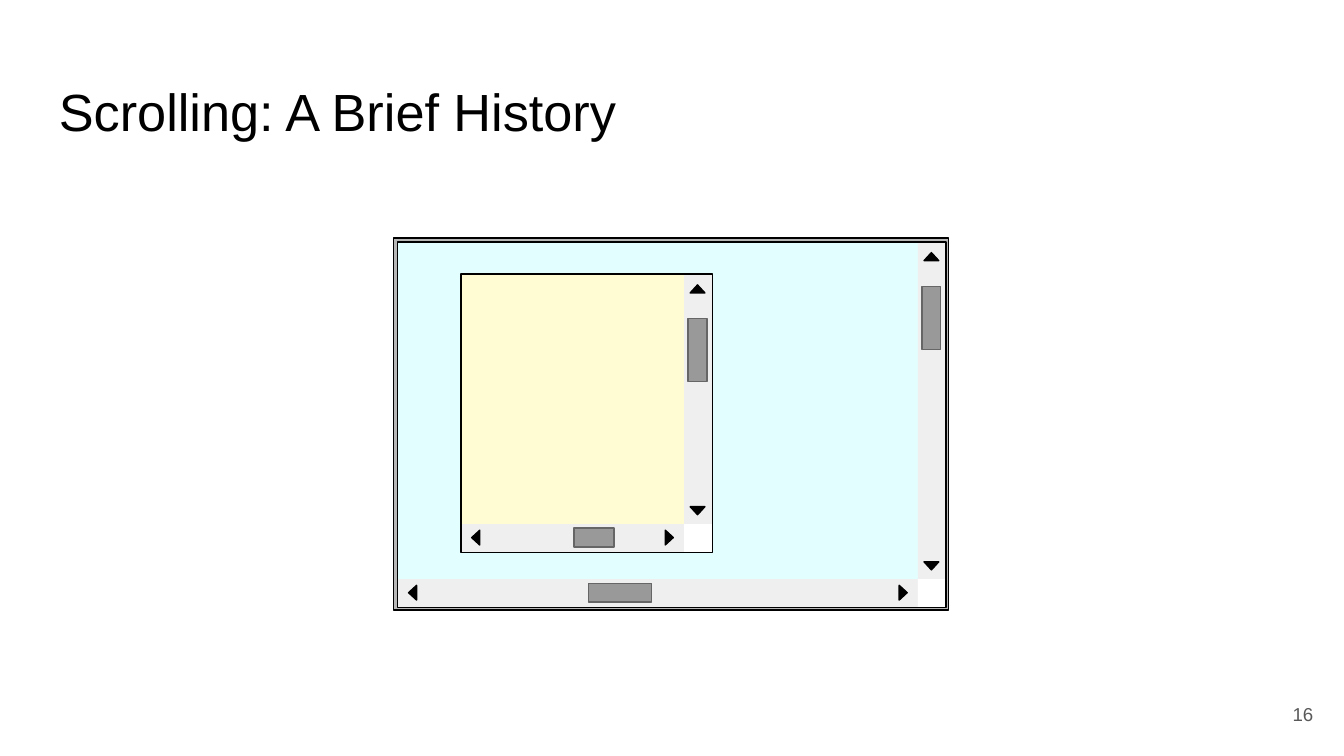
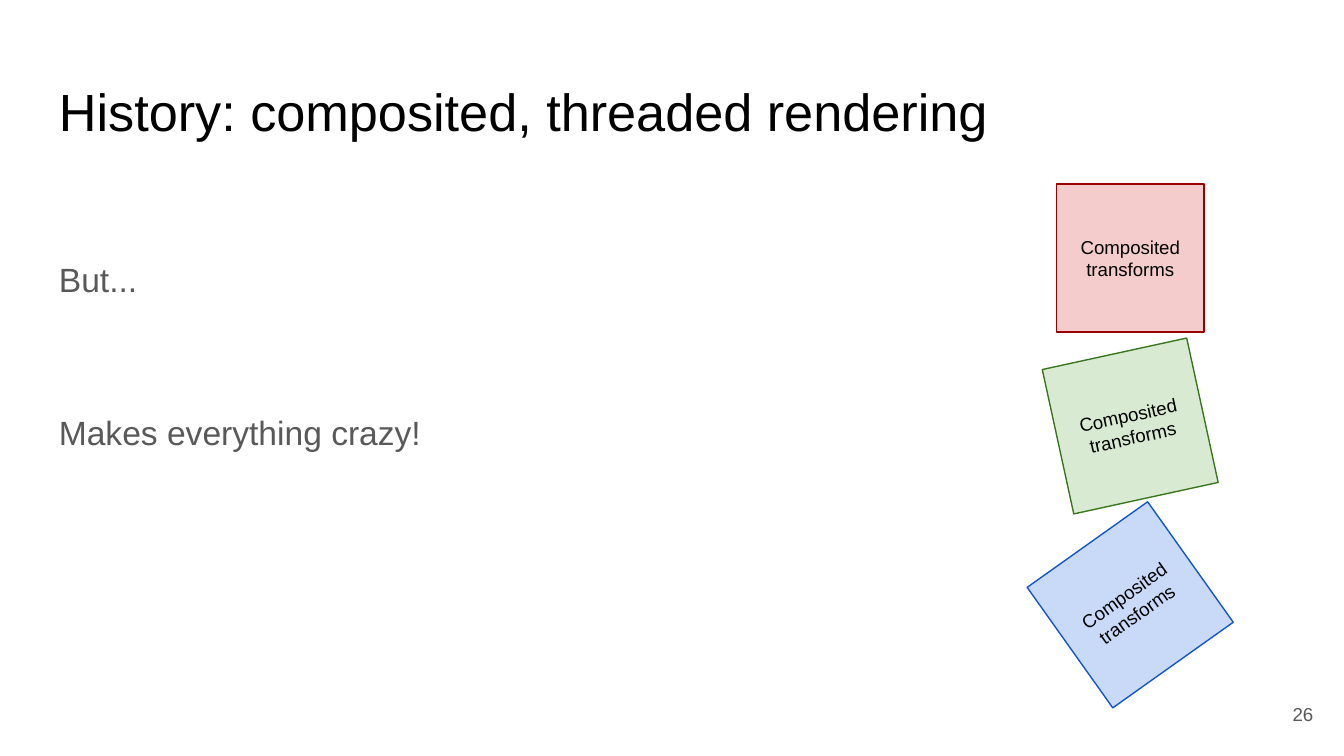
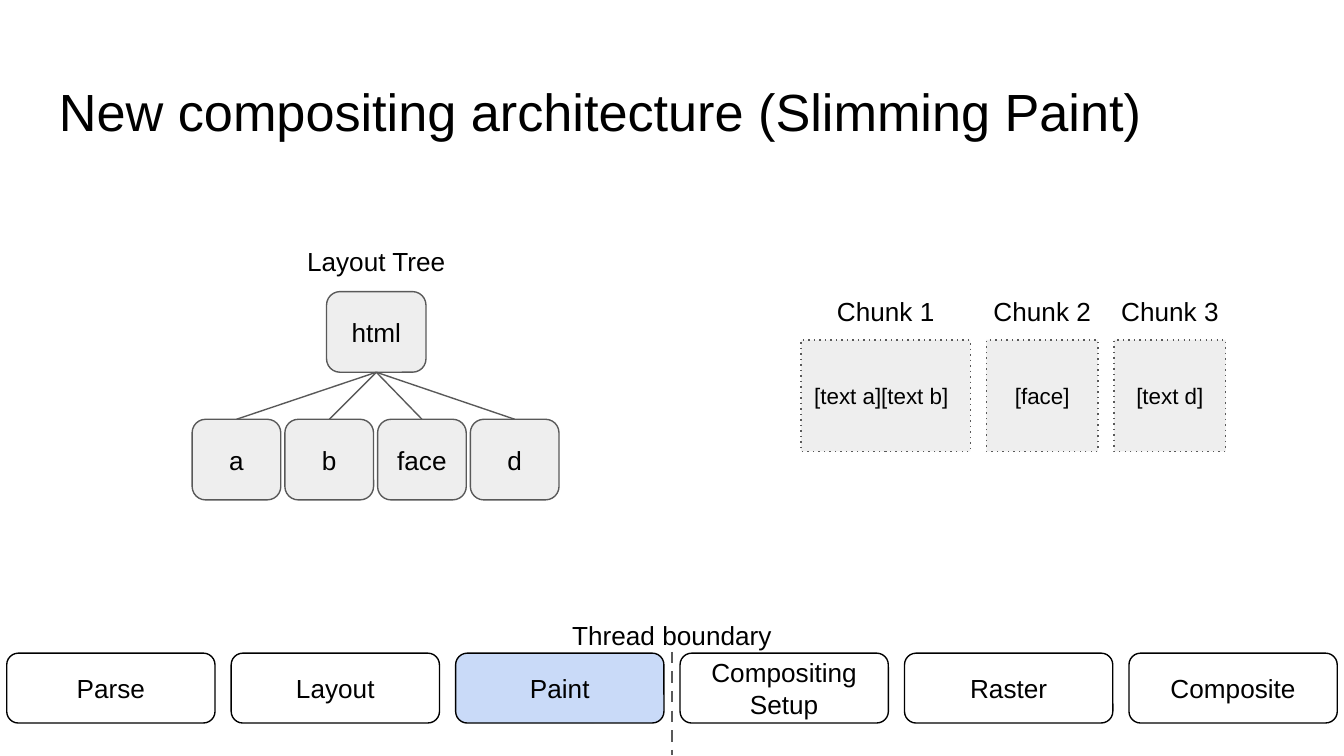
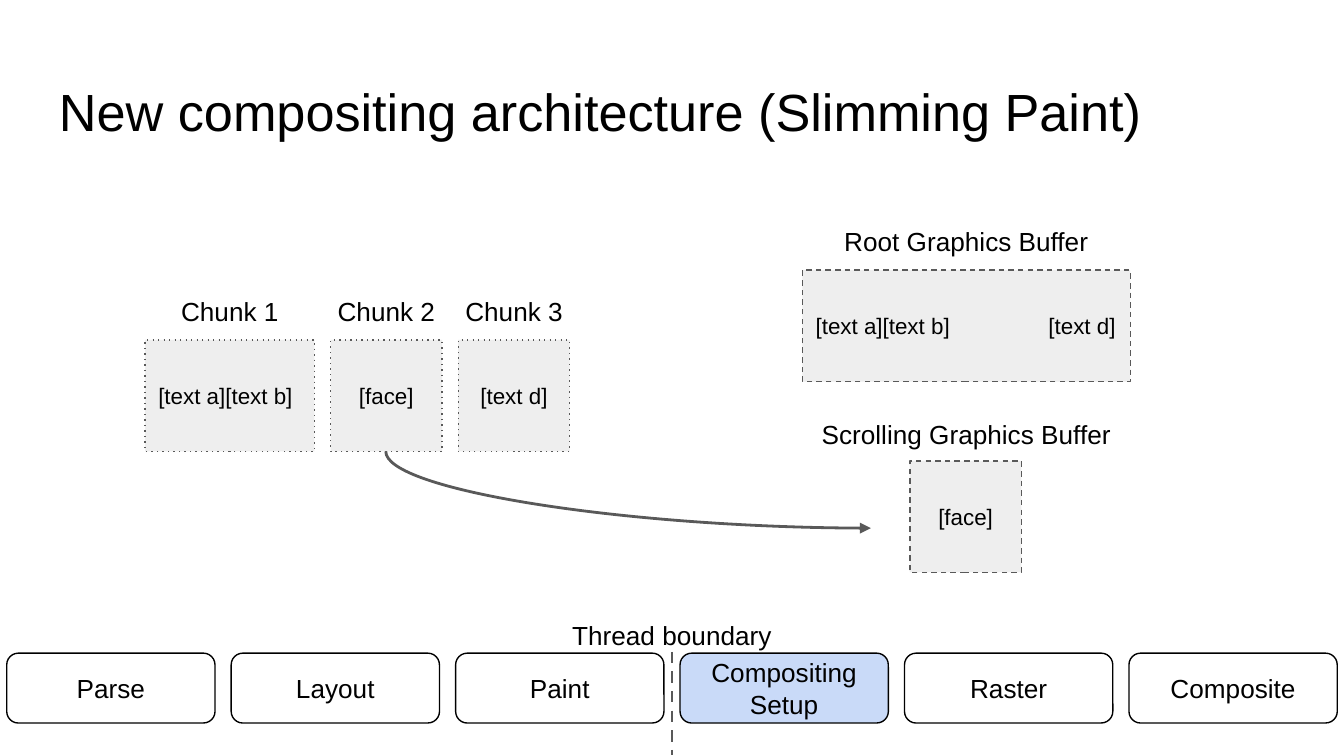
from dataclasses import dataclass

from lxml.etree import SubElement
from pptx import Presentation
from pptx.dml.color import RGBColor
from pptx.enum.dml import MSO_LINE
from pptx.enum.shapes import MSO_CONNECTOR, MSO_SHAPE
from pptx.enum.text import MSO_ANCHOR, PP_ALIGN
from pptx.oxml.ns import qn
from pptx.util import Inches, Pt


@dataclass(frozen=True)
class Theme:
    font: str = "Arial"
    black: str = "000000"
    white: str = "FFFFFF"
    gray: str = "595959"
    panel: str = "EEEEEE"
    highlight: str = "C9DAF8"
    window: str = "B7B7B7"
    page: str = "E3FEFF"
    scroller: str = "FFFCD3"
    track: str = "EFEFEF"
    thumb: str = "999999"
    thumb_edge: str = "666666"
    title_size: float = 28
    body_size: float = 18
    label_size: float = 14
    chunk_size: float = 12
    small_size: float = 10
    thin: float = 0.75
    thick: float = 1.5


THEME = Theme()
BOTTOM, TOP = 2, 0
STAGES = ["Parse", "Layout", "Paint", "Compositing\nSetup", "Raster", "Composite"]


def write_text(shape, text, size=THEME.label_size, color=THEME.black, align=PP_ALIGN.CENTER,
               anchor=MSO_ANCHOR.MIDDLE, line_spacing=None, gap=None):
    """Fill a shape with one paragraph for each line of text."""
    frame = shape.text_frame
    frame.word_wrap = True
    frame.vertical_anchor = anchor
    frame.margin_left = frame.margin_right = Inches(0.1)
    frame.margin_top = frame.margin_bottom = Inches(0.1)
    for index, line in enumerate(text.split("\n")):
        paragraph = frame.add_paragraph() if index else frame.paragraphs[0]
        paragraph.alignment = align
        if line_spacing:
            paragraph.line_spacing = line_spacing
        if gap and index:
            paragraph.space_before = Pt(gap)
        run = paragraph.add_run()
        run.text = line
        run.font.name = THEME.font
        run.font.size = Pt(size)
        run.font.color.rgb = RGBColor.from_string(color)


def style_line(line, color, width, dash=None):
    line.color.rgb = RGBColor.from_string(color)
    line.width = Pt(width)
    if dash:
        line.dash_style = MSO_LINE.DASH
        line._get_or_add_ln().find(qn("a:prstDash")).set("val", dash)


class Deck:
    def __init__(self, theme):
        self.theme = theme
        self.presentation = Presentation()
        self.presentation.slide_width = Inches(10)
        self.presentation.slide_height = Inches(10) * 9 // 16
        self.slide = None

    # Basic elements
    def start_slide(self, title, number=None):
        self.slide = self.presentation.slides.add_slide(self.presentation.slide_layouts[6])
        self.text(title, 0.34, 0.49, 9.32, 0.63, size=self.theme.title_size,
                  align=PP_ALIGN.LEFT, anchor=MSO_ANCHOR.TOP)
        if number:
            self.text(number, 9.27, 5.1, 0.6, 0.43, size=self.theme.small_size,
                      color=self.theme.gray, align=PP_ALIGN.RIGHT)

    def text(self, text, left, top, width, height, **text_format):
        box = self.slide.shapes.add_textbox(Inches(left), Inches(top),
                                            Inches(width), Inches(height))
        write_text(box, text, **text_format)

    def shape(self, left, top, width, height, fill=None, edge=None, dash=None,
              kind=MSO_SHAPE.RECTANGLE, rotation=0, text=None, **text_format):
        shape = self.slide.shapes.add_shape(kind, Inches(left), Inches(top),
                                            Inches(width), Inches(height))
        shape.shadow.inherit = False
        shape.rotation = rotation
        if fill:
            shape.fill.solid()
            shape.fill.fore_color.rgb = RGBColor.from_string(fill)
        else:
            shape.fill.background()
        if edge:
            style_line(shape.line, edge, self.theme.thin, dash)
        else:
            shape.line.fill.background()
        if text:
            write_text(shape, text, **text_format)
        return shape

    def connector(self, start, end, width, dash=None, kind=MSO_CONNECTOR.STRAIGHT):
        points = [Inches(value) for value in (*start, *end)]
        connector = self.slide.shapes.add_connector(kind, *points)
        style_line(connector.line, self.theme.gray, width, dash)
        SubElement(connector._element.spPr, qn("a:effectLst"))
        return connector

    def curved_arrow(self, start, end):
        """Leave start downwards and reach end from the left."""
        arrow = self.connector(start, end, self.theme.thick, kind=MSO_CONNECTOR.CURVE)
        across, down = end[0] - start[0], end[1] - start[1]
        arrow.left = Inches((start[0] + end[0] - down) / 2)
        arrow.top = Inches((start[1] + end[1] - across) / 2)
        arrow.width, arrow.height = Inches(down), Inches(across)
        properties = arrow._element.spPr
        transform = properties.find(qn("a:xfrm"))
        transform.set("rot", "16200000")
        transform.set("flipH", "1")
        properties.find(qn("a:prstGeom")).set("prst", "curvedConnector2")
        SubElement(arrow.line._get_or_add_ln(), qn("a:tailEnd"), type="triangle")

    # Scrolling window
    def scroll_arrow(self, center_x, center_y, rotation):
        width, height = 0.11, 0.06
        self.shape(center_x - width / 2, center_y - height / 2, width, height,
                   self.theme.black, self.theme.black,
                   kind=MSO_SHAPE.ISOSCELES_TRIANGLE, rotation=rotation)

    def scroll_pane(self, left, top, width, height, fill, thumb_offset, thumb_length):
        theme, bar, thumb_width = self.theme, 0.21, 0.14
        inner_width, inner_height = width - bar, height - bar
        bar_left, bar_top = left + inner_width, top + inner_height
        middle_x, middle_y = bar_left + 0.1, bar_top + 0.1
        self.shape(left, top, inner_width, inner_height, fill)
        self.shape(bar_left, top, bar, inner_height, theme.track)
        self.shape(left, bar_top, inner_width, bar, theme.track)
        self.shape(bar_left, bar_top, bar, bar, theme.white)
        self.scroll_arrow(middle_x, top + 0.11, 0)
        self.scroll_arrow(middle_x, bar_top - 0.1, 180)
        self.scroll_arrow(left + 0.11, middle_y, 270)
        self.scroll_arrow(bar_left - 0.11, middle_y, 90)
        self.shape(bar_left + 0.03, top + 0.33, thumb_width, 0.47, theme.thumb, theme.thumb_edge)
        self.shape(left + thumb_offset, bar_top + 0.03, thumb_length, thumb_width,
                   theme.thumb, theme.thumb_edge)
        self.shape(left, top, width, height, edge=theme.black)

    # Rendering architecture
    def pipeline(self, active):
        for index, stage in enumerate(STAGES):
            fill = self.theme.highlight if stage == active else self.theme.white
            self.shape(0.05 + 1.67 * index, 4.86, 1.55, 0.52, fill, self.theme.black,
                       kind=MSO_SHAPE.ROUNDED_RECTANGLE, text=stage)
        self.connector((5, 4.85), (5, 5.62), self.theme.thick, "dash")
        self.text("Thread boundary", 3.93, 4.5, 2.14, 0.44, anchor=MSO_ANCHOR.BOTTOM)

    def caption(self, text, center, bottom, width=2.44):
        self.text(text, center - width / 2, bottom - 0.65, width, 0.65,
                  anchor=MSO_ANCHOR.BOTTOM)

    def panel(self, left, top, width, dash, text=None, align=PP_ALIGN.CENTER):
        self.shape(left, top, width, 0.83, self.theme.panel, self.theme.gray, dash,
                   text=text, size=self.theme.chunk_size, align=align)

    def chunks(self, left, top=2.53):
        contents = [("[text a][text b]", 1.26, PP_ALIGN.LEFT),
                    ("[face]", 0.83, PP_ALIGN.CENTER),
                    ("[text d]", 0.83, PP_ALIGN.CENTER)]
        for number, (text, width, align) in enumerate(contents, start=1):
            self.panel(left, top, width, "dot", text, align)
            self.caption(f"Chunk {number}", left + width / 2, top, 1.48)
            left += width + 0.12

    def tree_node(self, text, left, top, width):
        return self.shape(left, top, width, 0.6, self.theme.panel, self.theme.gray,
                          kind=MSO_SHAPE.ROUNDED_RECTANGLE, text=text)

    def layout_tree(self):
        root = self.tree_node("html", 2.43, 2.17, 0.74)
        for index, name in enumerate(["a", "b", "face", "d"]):
            left = 1.43 + 0.69 * index
            child = self.tree_node(name, left, 3.12, 0.66)
            branch = self.connector((2.8, 2.77), (left + 0.33, 3.12), self.theme.thin)
            branch.begin_connect(root, BOTTOM)
            branch.end_connect(child, TOP)
        self.caption("Layout Tree", 2.8, 2.16)


def add_scrolling_slide(deck):
    deck.start_slide("Scrolling: A Brief History", "16")
    deck.shape(2.93, 1.77, 4.13, 2.77, THEME.window, THEME.black)
    deck.scroll_pane(2.96, 1.8, 4.08, 2.72, THEME.page, 1.42, 0.47)
    deck.scroll_pane(3.43, 2.04, 1.87, 2.07, THEME.scroller, 0.84, 0.3)


def add_rendering_slide(deck):
    deck.start_slide("History: composited, threaded rendering", "26")
    deck.text("But...\nMakes everything crazy!", 0.34, 1.78, 7.4, 3.22,
              size=THEME.body_size, color=THEME.gray, align=PP_ALIGN.LEFT,
              anchor=MSO_ANCHOR.TOP, line_spacing=1.15, gap=57)
    squares = [(1.37, 0, "F4CCCC", "990000"),
               (2.62, 347.7, "D9EAD3", "38761D"),
               (3.95, 324.6, THEME.highlight, "1155CC")]
    for top, rotation, fill, edge in squares:
        deck.shape(7.86, top, 1.1, 1.1, fill, edge, rotation=rotation,
                   text="Composited\ntransforms", size=THEME.small_size)


def add_paint_slide(deck):
    deck.start_slide("New compositing architecture (Slimming Paint)")
    deck.pipeline("Paint")
    deck.layout_tree()
    deck.chunks(5.96)


def add_compositing_slide(deck):
    deck.start_slide("New compositing architecture (Slimming Paint)")
    deck.pipeline("Compositing\nSetup")
    deck.chunks(1.08)
    # Graphics buffers
    deck.panel(5.97, 2.01, 2.44, "dash")
    deck.caption("Root Graphics Buffer", 7.19, 2.01)
    deck.text("[text a][text b]", 5.97, 2.01, 1.41, 0.83,
              size=THEME.chunk_size, align=PP_ALIGN.LEFT)
    deck.text("[text d]", 7.57, 2.01, 0.83, 0.83,
              size=THEME.chunk_size, align=PP_ALIGN.RIGHT)
    deck.caption("Scrolling Graphics Buffer", 7.19, 3.45)
    deck.panel(6.77, 3.43, 0.83, "dash", "[face]")
    deck.curved_arrow((2.87, 3.36), (6.48, 3.93))


def main():
    deck = Deck(THEME)
    add_scrolling_slide(deck)
    add_rendering_slide(deck)
    add_paint_slide(deck)
    add_compositing_slide(deck)
    deck.presentation.save("out.pptx")


if __name__ == "__main__":
    main()
